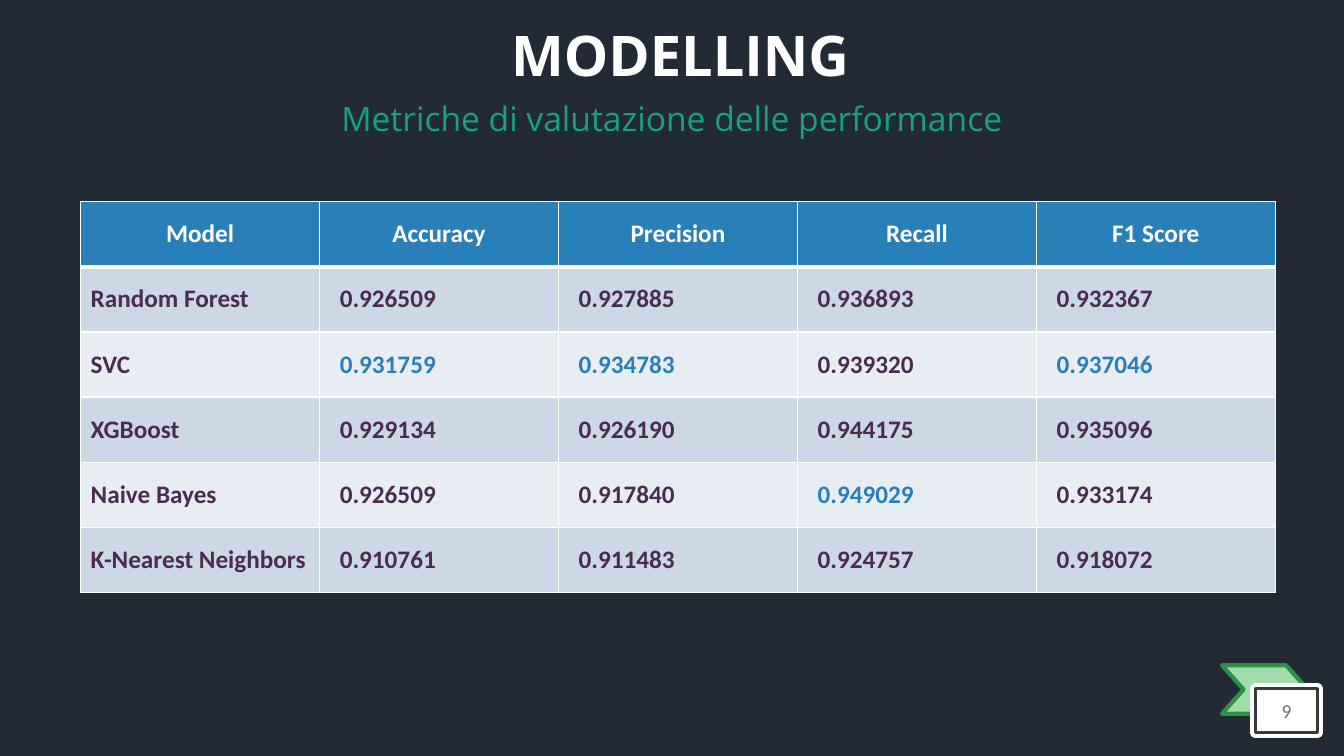
from lxml.etree import SubElement
from pptx import Presentation
from pptx.dml.color import RGBColor
from pptx.enum.shapes import MSO_SHAPE
from pptx.enum.text import MSO_ANCHOR, PP_ALIGN
from pptx.oxml.ns import qn
from pptx.util import Inches, Pt

COLORS = {
    "back": "222A35",
    "white": "FFFFFF",
    "green": "16A085",
    "blue": "2980B9",
    "plum": "4B2C50",
    "odd": "CDD8E6",
    "even": "E8EDF3",
    "mint": "A1DDAA",
    "leaf": "2E8F46",
    "frame": "393937",
    "gray": "6F6D6A",
}
HEADS = ["Model", "Accuracy", "Precision", "Recall", "F1 Score"]
SCORES = [
    ("Random Forest", 0.926509, 0.927885, 0.936893, 0.932367),
    ("SVC", 0.931759, 0.934783, 0.939320, 0.937046),
    ("XGBoost", 0.929134, 0.926190, 0.944175, 0.935096),
    ("Naive Bayes", 0.926509, 0.917840, 0.949029, 0.933174),
    ("K-Nearest Neighbors", 0.910761, 0.911483, 0.924757, 0.918072),
]


def color(name):
    return RGBColor.from_string(COLORS[name])


def apply(item, form):
    for key, value in form.items():
        setattr(item, key, value)


def paint(fill, name):
    fill.solid()
    fill.fore_color.rgb = color(name)


def write(frame, text, tint, size, font="Calibri", bold=False, align=PP_ALIGN.CENTER):
    para = frame.paragraphs[0]
    para.alignment = align
    run = para.add_run()
    run.text = text
    apply(run.font, {"name": font, "size": Pt(size), "bold": bold})
    run.font.color.rgb = color(tint)
    return para


def add_badge(slide, kind, box, fill, line, width):
    shape = slide.shapes.add_shape(kind, *map(Inches, box))
    shape.shadow.inherit = False
    if fill:
        paint(shape.fill, fill)
    else:
        shape.fill.background()
    shape.line.color.rgb = color(line)
    shape.line.width = Pt(width)
    SubElement(shape.line._get_or_add_ln(), qn("a:round"))
    return shape


def add_page(slide):
    arrow = add_badge(slide, MSO_SHAPE.CHEVRON, (12.12, 6.6, 0.85, 0.48), "mint", "leaf", 3)
    arrow.adjustments[0] = 0.446
    box = (12.45, 6.83, 0.62, 0.44)
    add_badge(slide, MSO_SHAPE.RECTANGLE, box, "white", "white", 7.25)
    add_badge(slide, MSO_SHAPE.RECTANGLE, box, None, "frame", 2.25)
    page = add_badge(slide, MSO_SHAPE.RECTANGLE, (12.45, 6.84, 0.62, 0.43), None, "frame", 0.75)
    page.text_frame.vertical_anchor = MSO_ANCHOR.MIDDLE
    write(page.text_frame, "9", "gray", 14)


def add_title(slide, text):
    title = slide.shapes.title
    form = {"left": 0.68, "top": 0.15, "width": 12.13, "height": 0.77}
    apply(title, {key: Inches(value) for key, value in form.items()})
    title.text_frame.vertical_anchor = MSO_ANCHOR.MIDDLE
    write(title.text_frame, text, "white", 40, "Open Sans", True)


def add_lead(slide, text):
    box = slide.shapes.add_textbox(*map(Inches, (0.68, 0.92, 11.97, 0.5)))
    box.text_frame.word_wrap = True
    para = write(box.text_frame, text, "green", 24, "Open Sans")
    para.space_before = Pt(4.8)


def add_edges(cell, row):
    props = cell._tc.get_or_add_tcPr()
    widths = {"L": 1, "R": 1, "T": 3 if row == 1 else 1, "B": 3 if row == 0 else 1}
    for side, width in widths.items():
        line = SubElement(props, qn(f"a:ln{side}"), w=str(Pt(width)))
        fill = SubElement(line, qn("a:solidFill"))
        SubElement(fill, qn("a:srgbClr"), val=COLORS["white"])


def fill_cell(cell, row, text, fill, tint, align):
    add_edges(cell, row)
    paint(cell.fill, fill)
    cell.vertical_anchor = MSO_ANCHOR.MIDDLE
    write(cell.text_frame, text, tint, 18, bold=True, align=align)


def add_scores(slide):
    count = len(SCORES) + 1
    box = map(Inches, (0.8, 2, 11.85, 3.88))
    table = slide.shapes.add_table(count, len(HEADS), *box).table
    best = [max(values) for values in list(zip(*SCORES))[1:]]
    inset = {
        "margin_left": Inches(0.2),
        "margin_top": Inches(0.02),
        "margin_right": Inches(0.04),
        "margin_bottom": Inches(0.02),
    }
    for col, head in enumerate(HEADS):
        fill_cell(table.cell(0, col), 0, head, "blue", "white", PP_ALIGN.CENTER)
    for row, (model, *values) in enumerate(SCORES, 1):
        fill = "odd" if row % 2 else "even"
        fill_cell(table.cell(row, 0), row, model, fill, "plum", PP_ALIGN.LEFT)
        for col, value in enumerate(values, 1):
            cell = table.cell(row, col)
            tint = "blue" if value == best[col - 1] else "plum"
            apply(cell, inset)
            fill_cell(cell, row, f"{value:.6f}", fill, tint, PP_ALIGN.LEFT)


def main():
    deck = Presentation()
    apply(deck, {"slide_width": Inches(13.33), "slide_height": Inches(7.5)})
    slide = deck.slides.add_slide(deck.slide_layouts[5])
    paint(slide.background.fill, "back")
    add_page(slide)
    add_title(slide, "MODELLING")
    add_lead(slide, "Metriche di valutazione delle performance")
    add_scores(slide)
    deck.save("out.pptx")


if __name__ == "__main__":
    main()
